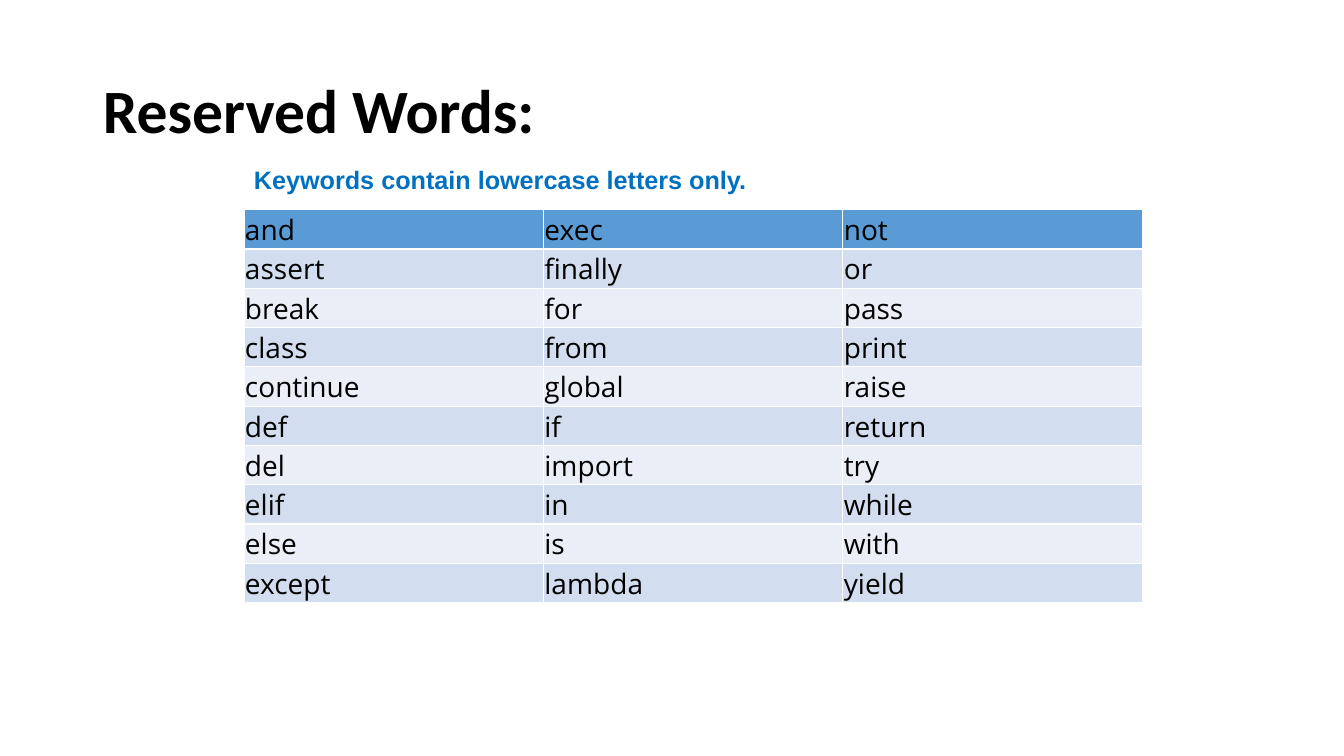
"""Build a slide that lists the reserved words in a three-column table."""
from pptx import Presentation
from pptx.dml.color import RGBColor
from pptx.enum.text import MSO_ANCHOR, MSO_AUTO_SIZE, PP_ALIGN
from pptx.util import Inches, Pt

TITLE = "Reserved Words:"
SUBTITLE = "Keywords contain lowercase letters only."
KEYWORD_ROWS = [
    ("and", "exec", "not"),
    ("assert", "finally", "or"),
    ("break", "for", "pass"),
    ("class", "from", "print"),
    ("continue", "global", "raise"),
    ("def", "if", "return"),
    ("del", "import", "try"),
    ("elif", "in", "while"),
    ("else", "is", "with"),
    ("except", "lambda", "yield"),
]

BLACK = RGBColor(0x00, 0x00, 0x00)
BLUE = RGBColor(0x00, 0x70, 0xC0)
HEADER_FILL = RGBColor(0x5B, 0x9B, 0xD5)
BAND_FILLS = (RGBColor(0xEA, 0xEF, 0xF7), RGBColor(0xD2, 0xDE, 0xEF))
MIDDLE = MSO_ANCHOR.MIDDLE
TOP = MSO_ANCHOR.TOP
LEFT = PP_ALIGN.LEFT
NO_FIT = MSO_AUTO_SIZE.NONE
GROW = MSO_AUTO_SIZE.SHAPE_TO_FIT_TEXT

TABLE_LEFT = Inches(2.42)
COLUMN_WIDTH = Inches(2.97)
ROW_HEIGHT = Inches(0.39)
CELL_MARGIN = Inches(0.01)


def write(text_frame, text, font_name, size, color, bold):
    """Put one formatted line into a text frame."""
    text_frame.text = text
    paragraph = text_frame.paragraphs[0]
    paragraph.alignment = LEFT
    font = paragraph.runs[0].font
    font.name = font_name
    font.size = Pt(size)
    font.bold = bold
    font.color.rgb = color


presentation = Presentation()
presentation.slide_width = Inches(13.33)
presentation.slide_height = Inches(7.5)
slide = presentation.slides.add_slide(presentation.slide_layouts[5])

title = slide.shapes.title
title.left, title.top = Inches(0.92), Inches(0.4)
title.width, title.height = Inches(11.5), Inches(1.45)
title.text_frame.vertical_anchor = MIDDLE
title.text_frame.auto_size = NO_FIT
write(title.text_frame, TITLE, "Calibri", 44, BLACK, True)
title.text_frame.paragraphs[0].line_spacing = 0.9

row_count, column_count = len(KEYWORD_ROWS), len(KEYWORD_ROWS[0])
table = slide.shapes.add_table(
    row_count, column_count, TABLE_LEFT, Inches(2.08),
    COLUMN_WIDTH * column_count, ROW_HEIGHT * row_count).table
for row_index, keywords in enumerate(KEYWORD_ROWS):
    for column_index, keyword in enumerate(keywords):
        cell = table.cell(row_index, column_index)
        cell.margin_left = cell.margin_top = cell.margin_right = CELL_MARGIN
        cell.margin_bottom = 0
        cell.vertical_anchor = TOP
        cell.fill.solid()
        cell.fill.fore_color.rgb = BAND_FILLS[row_index % 2] if row_index else HEADER_FILL
        write(cell.text_frame, keyword, "Open Sans", 20, BLACK, False)

subtitle = slide.shapes.add_textbox(TABLE_LEFT, Inches(1.58), Inches(7.67), Inches(0.4))
subtitle.text_frame.word_wrap = True
subtitle.text_frame.auto_size = GROW
write(subtitle.text_frame, SUBTITLE, "Arial", 18, BLUE, True)

presentation.save("out.pptx")
